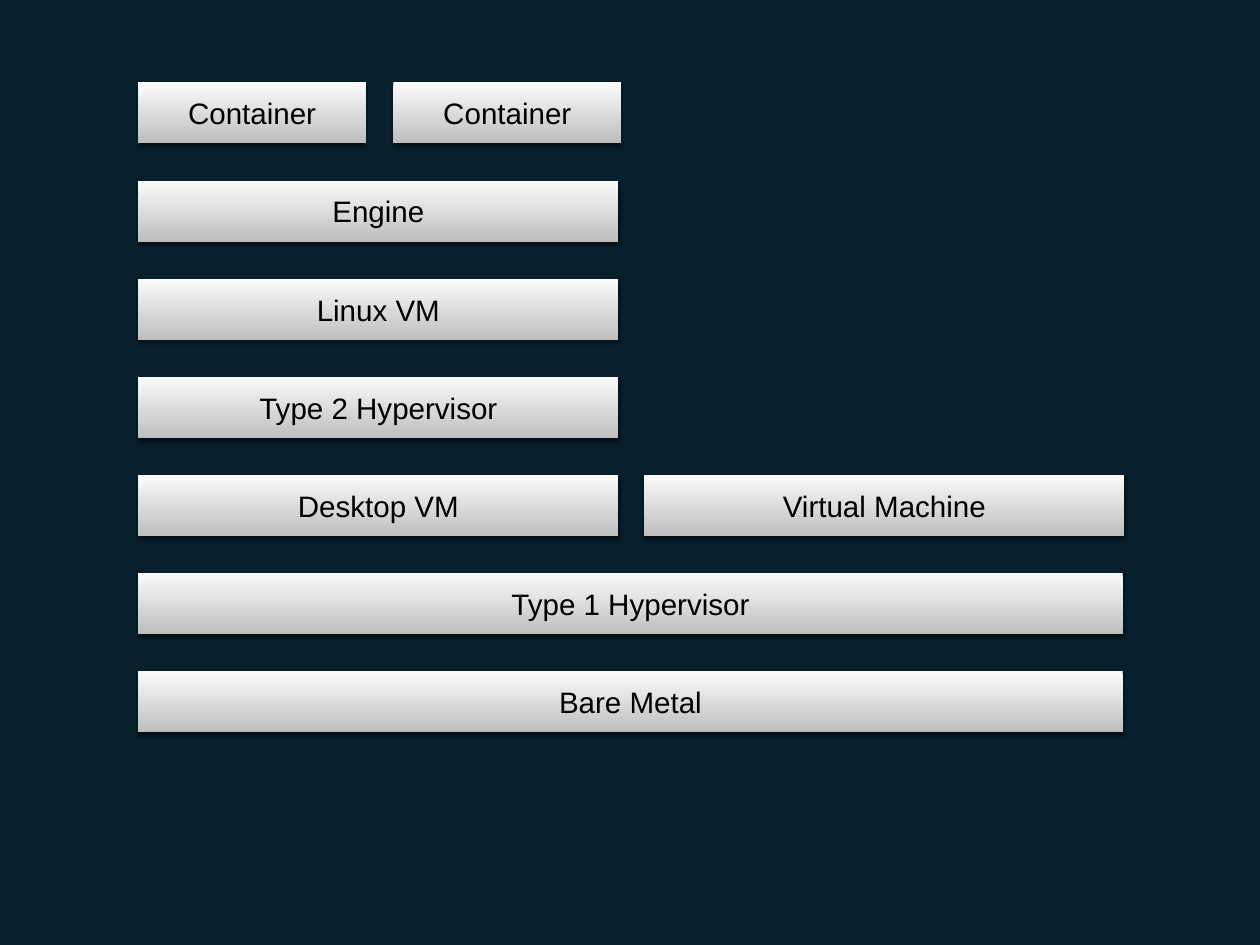
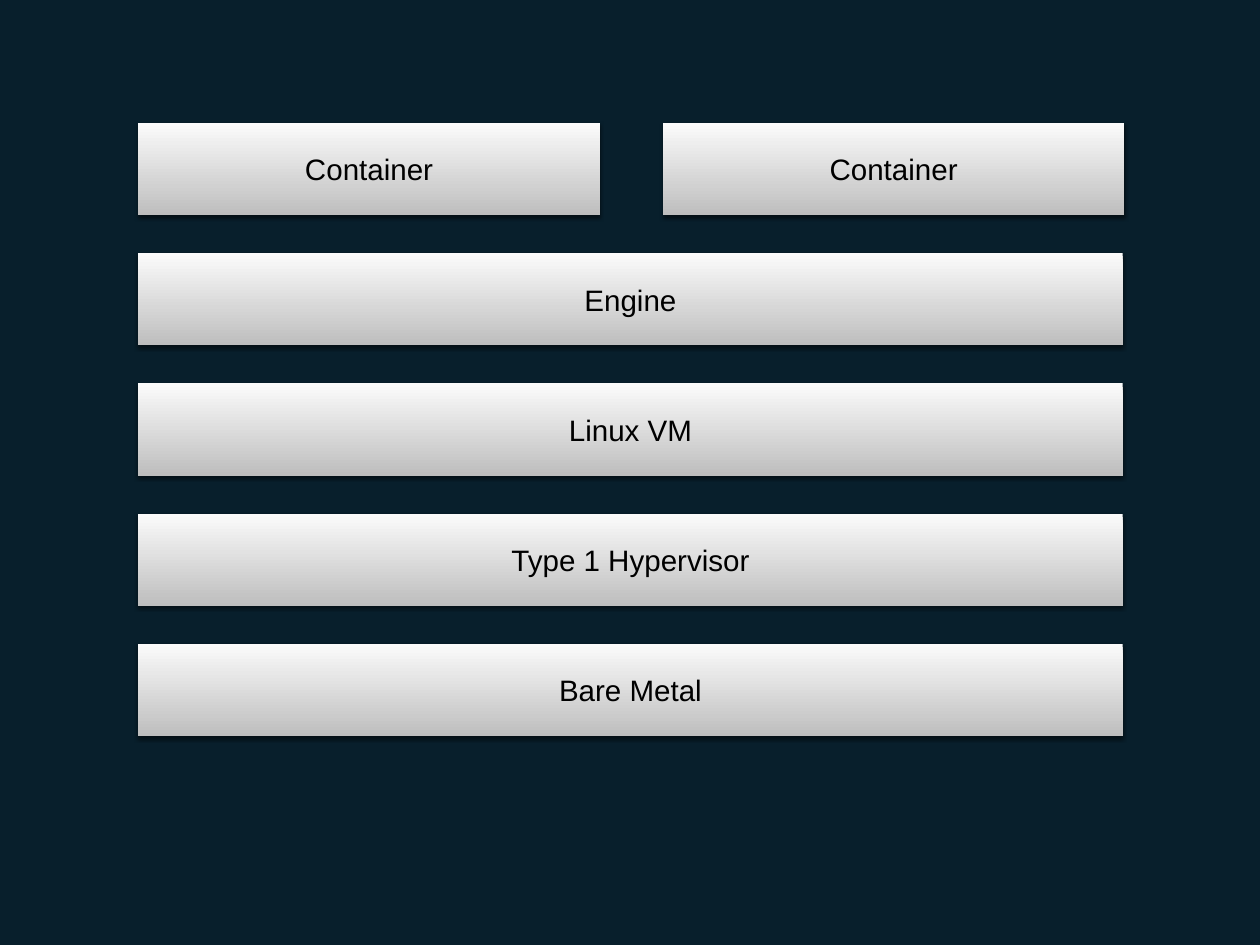
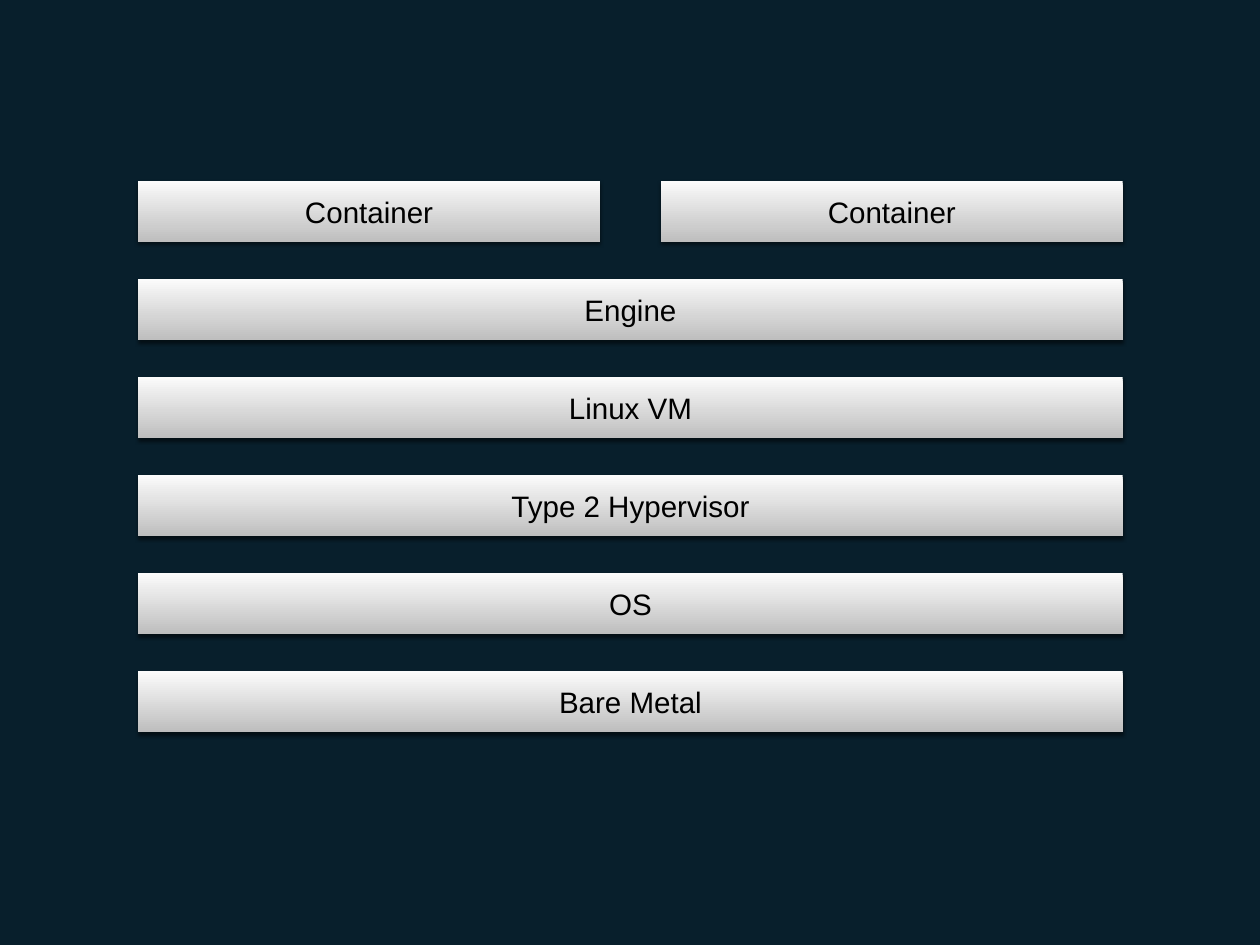
from lxml import etree
from pptx import Presentation
from pptx.dml.color import RGBColor
from pptx.enum import shapes, text
from pptx.oxml import ns
from pptx.util import Inches, Pt

COLORS = {
    "background": "081F2C",
    "bar_top": "FBFBFB",
    "bar_bottom": "BEBEBE",
    "text": "000000",
    "shadow": "000000",
}
FONT = "Arial"
LEFT, FULL, HALF = 1.56, 11.11, 5.21  # shared left edge and bar widths
NARROW = 5.42                         # width of a guest's column
BOTTOM = 7.58                         # top of the lowest thin bar
THIN, THICK = 0.69, 1.04              # bar heights


def color(name):
    return RGBColor.from_string(COLORS[name])


def add_shadow(sp):
    """Give a shape a soft shadow that falls straight down."""
    sp.shadow.inherit = False
    effects = sp._element.spPr.find(ns.qn("a:effectLst"))
    outer = etree.SubElement(
        effects, ns.qn("a:outerShdw"), blurRad=str(Pt(3)), dist=str(Pt(2)),
        dir="5400000", algn="ctr", rotWithShape="0")
    clr = etree.SubElement(outer, ns.qn("a:srgbClr"), val=COLORS["shadow"])
    etree.SubElement(clr, ns.qn("a:alpha"), val="50000")


def add_bar(s, label, left, top, width, height):
    """Draw one labelled layer of the stack."""
    sp = s.shapes.add_shape(
        shapes.MSO_SHAPE.RECTANGLE,
        Inches(left), Inches(top), Inches(width), Inches(height))

    # Vertical gradient, no outline
    sp.fill.gradient()
    sp.fill.gradient_angle = 270
    for stop, name in zip(sp.fill.gradient_stops, ("bar_top", "bar_bottom")):
        stop.color.rgb = color(name)
    sp.line.fill.background()
    add_shadow(sp)

    # Centred label
    tf = sp.text_frame
    tf.word_wrap = True
    tf.vertical_anchor = text.MSO_ANCHOR.MIDDLE
    tf.margin_left = tf.margin_right = Inches(0.06)
    tf.margin_top = tf.margin_bottom = Inches(0.06)
    p = tf.paragraphs[0]
    p.alignment = text.PP_ALIGN.CENTER
    r = p.add_run()
    r.text = label
    r.font.name = FONT
    r.font.size = Pt(24)
    r.font.color.rgb = color("text")


def add_stack(s, left, top, bottom, bar_height, rows):
    """Spread rows evenly; a row is its bar width, gap and labels."""
    pitch = (bottom - top) / (len(rows) - 1)
    for i, (width, gap, labels) in enumerate(rows):
        for j, label in enumerate(labels):
            add_bar(s, label, left + j * (width + gap), top + i * pitch,
                    width, bar_height)


def wide_rows(*labels):
    return [(FULL, 0, [label]) for label in labels]


# Each stack: top of first row, top of last row, bar height, rows
STACKS = [
    # Nested hypervisors
    (0.93, BOTTOM, THIN, [
        (2.57, 0.31, ["Container", "Container"]),
        (NARROW, 0, ["Engine"]),
        (NARROW, 0, ["Linux VM"]),
        (NARROW, 0, ["Type 2 Hypervisor"]),
        (NARROW, 0.29, ["Desktop VM", "Virtual Machine"]),
        *wide_rows("Type 1 Hypervisor", "Bare Metal"),
    ]),
    # Type 1 hypervisor
    (1.39, 7.27, THICK, [
        (HALF, 0.71, ["Container", "Container"]),
        *wide_rows("Engine", "Linux VM", "Type 1 Hypervisor", "Bare Metal"),
    ]),
    # Type 2 hypervisor
    (2.04, BOTTOM, THIN, [
        (HALF, 0.69, ["Container", "Container"]),
        *wide_rows("Engine", "Linux VM", "Type 2 Hypervisor", "OS",
                   "Bare Metal"),
    ]),
]


def main():
    prs = Presentation()
    prs.slide_width, prs.slide_height = Inches(14.22), Inches(10.67)

    # Shared background
    fill = prs.slide_master.background.fill
    fill.solid()
    fill.fore_color.rgb = color("background")

    blank = prs.slide_layouts[6]
    for top, bottom, bar_height, rows in STACKS:
        add_stack(prs.slides.add_slide(blank), LEFT, top, bottom,
                  bar_height, rows)
    prs.save("out.pptx")


if __name__ == "__main__":
    main()
